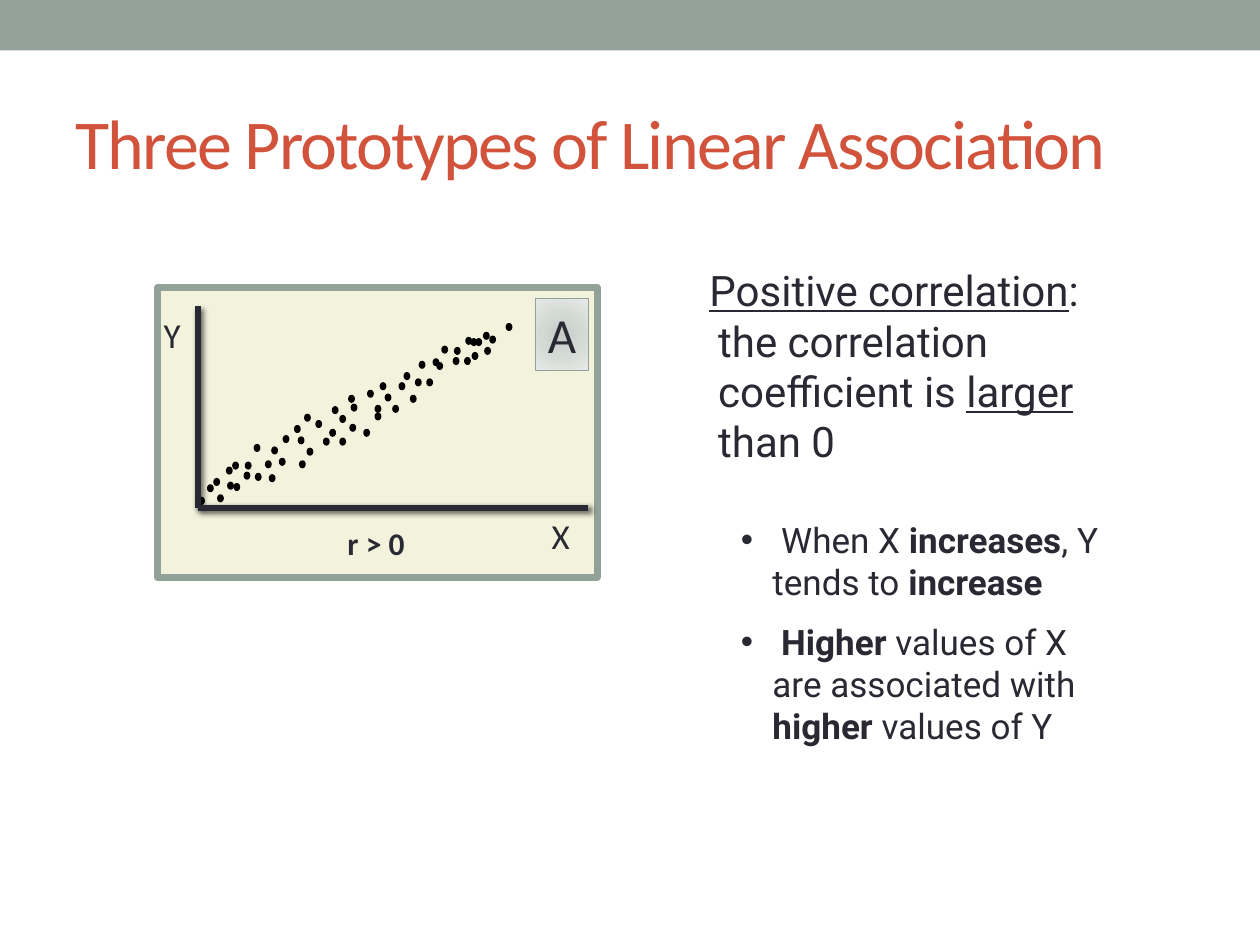
from lxml import etree
from pptx import Presentation
from pptx.dml.color import RGBColor
from pptx.enum.shapes import MSO_CONNECTOR, MSO_SHAPE
from pptx.enum.text import MSO_ANCHOR, MSO_AUTO_SIZE, PP_ALIGN
from pptx.oxml import parse_xml
from pptx.oxml.ns import nsdecls, qn
from pptx.util import Pt

SAGE = RGBColor(0x93, 0xA2, 0x99)
CREAM = RGBColor(0xF3, 0xF2, 0xDC)
RUST = RGBColor(0xD2, 0x53, 0x3C)
INK = RGBColor(0x29, 0x29, 0x34)
BLACK = RGBColor(0, 0, 0)

# Content: body runs are (text, style), where u is underlined and b is bold
TITLE = "Three Prototypes of Linear Association"
DEFINITION = [("Positive correlation", "u"), (": the correlation coefficient is ", ""),
              ("larger ", "u"), ("than 0", "")]
BULLETS = [
    [(" ", ""), ("When X ", ""), ("increases", "b"), (", Y tends to ", ""), ("increase", "b")],
    [(" ", ""), ("Higher", "b"), (" values of X are associated with ", ""),
     ("higher", "b"), (" values of Y", "")],
]

# Plot labels: text, left, top, width, height, size, bold
LABELS = [
    ("r > 0", 191.5, 296, 48.2, 29, 18, True),
    ("Y", 86.4, 175.7, 36, 31, 20, False),
    ("X", 308.2, 290.2, 36, 31, 20, False),
]

# Scatter dots: left and top, in steps of 0.72 points
DOT_STEP = 0.72
DOT_WIDTH, DOT_HEIGHT = 2.9, 3.6
DOTS = [
    (402, 257), (384, 264), (389, 267), (370, 268), (369, 284), (378, 269),
    (351, 275), (347, 288), (339, 301), (330, 301), (326, 314), (312, 322),
    (262, 341), (278, 337), (251, 334), (264, 323), (237, 347), (222, 364),
    (195, 367), (211, 366), (180, 371), (181, 383), (194, 375), (170, 380),
    (158, 395), (173, 393), (165, 385), (186, 384), (185, 367), (202, 353),
    (203, 376), (214, 377), (216, 355), (225, 346), (234, 338), (242, 329),
    (292, 310), (277, 314), (298, 328), (289, 341), (317, 304), (333, 287),
    (360, 284), (344, 285), (375, 280), (374, 269), (361, 276), (385, 276),
    (321, 296), (302, 304), (306, 313), (298, 322), (279, 321), (270, 330),
    (270, 348), (257, 348), (244, 356), (238, 366),
]

# Axes share one origin
ORIGIN = (113, 290.2)
AXIS_ENDS = [(113, 175), (336.2, 290.2)]

BADGE_GRADIENT = [(0, "C4CAC6"), (45, "D3DAD6"), (100, "E7EAE8")]


def place(shape, left, top, width, height):
    shape.left, shape.top, shape.width, shape.height = map(Pt, (left, top, width, height))


def add_filled(shapes, kind, box, fill, line=None, line_width=1):
    shape = shapes.add_shape(kind, *map(Pt, box))
    shape.shadow.inherit = False
    shape.fill.solid()
    shape.fill.fore_color.rgb = fill
    if line is None:
        shape.line.fill.background()
    else:
        shape.line.color.rgb = line
        shape.line.width = Pt(line_width)
    return shape


def add_run(paragraph, text, size, color=INK, name="Calibri", bold=False, underline=False):
    run = paragraph.add_run()
    run.text = text
    font = run.font
    font.size, font.name, font.bold, font.underline = Pt(size), name, bold, underline
    font.color.rgb = color
    return run


def format_paragraph(paragraph, margin, indent, bullet, before, after):
    properties = paragraph._p.get_or_add_pPr()
    properties.set("marL", str(Pt(margin)))
    properties.set("indent", str(Pt(indent)))
    if bullet:
        etree.SubElement(properties, qn("a:buFont")).set("typeface", "Arial")
        etree.SubElement(properties, qn("a:buChar")).set("char", bullet)
    else:
        etree.SubElement(properties, qn("a:buNone"))
    paragraph.alignment = PP_ALIGN.LEFT
    paragraph.space_before, paragraph.space_after = Pt(before), Pt(after)


def add_styled_runs(paragraph, runs, size):
    for text, style in runs:
        add_run(paragraph, text, size, name="Roboto", bold=style == "b", underline=style == "u")


def set_badge_gradient(shape):
    stops = "".join(f'<a:gs pos="{position * 1000}"><a:srgbClr val="{color}"/></a:gs>'
                    for position, color in BADGE_GRADIENT)
    gradient = parse_xml(
        f'<a:gradFill {nsdecls("a")} rotWithShape="1"><a:gsLst>{stops}</a:gsLst>'
        '<a:path path="circle"><a:fillToRect l="100000" t="100000" r="100000" b="100000"/>'
        '</a:path></a:gradFill>')
    properties = shape._element.spPr
    properties.replace(properties.find(qn("a:solidFill")), gradient)


def add_axis(shapes, end):
    axis = shapes.add_connector(MSO_CONNECTOR.STRAIGHT, *map(Pt, ORIGIN + end))
    axis.line.color.rgb = INK
    axis.line.width = Pt(3.5)
    axis._element.spPr.append(parse_xml(
        f'<a:effectLst {nsdecls("a")}><a:outerShdw blurRad="{Pt(3)}" dist="{Pt(2)}" '
        'dir="2700000" algn="ctr" rotWithShape="0"><a:srgbClr val="000000">'
        '<a:alpha val="60000"/></a:srgbClr></a:outerShdw></a:effectLst>'))


def main():
    presentation = Presentation()
    presentation.slide_width, presentation.slide_height = Pt(720), Pt(540)
    slide = presentation.slides.add_slide(presentation.slide_layouts[1])
    shapes = slide.shapes

    # Top band and title
    add_filled(shapes, MSO_SHAPE.RECTANGLE, (0, 0, 720, 28.8), SAGE)
    title = shapes.title
    place(title, 36, 41.8, 648, 77.8)
    title.text_frame.auto_size = MSO_AUTO_SIZE.NONE
    title.text_frame.vertical_anchor = MSO_ANCHOR.MIDDLE
    paragraph = title.text_frame.paragraphs[0]
    paragraph.alignment = PP_ALIGN.LEFT
    title_run = add_run(paragraph, TITLE, 40, RUST)
    title_run.font._element.set("spc", "-100")

    # Plot panel and scatter
    add_filled(shapes, MSO_SHAPE.RECTANGLE, (90, 164.2, 251.3, 165.6), CREAM, SAGE, 4)
    scatter = shapes.add_group_shape()
    for left, top in DOTS:
        box = (left * DOT_STEP, top * DOT_STEP, DOT_WIDTH, DOT_HEIGHT)
        add_filled(scatter.shapes, MSO_SHAPE.OVAL, box, BLACK, BLACK)

    # Plot labels
    for text, left, top, width, height, size, bold in LABELS:
        label = shapes.add_textbox(*map(Pt, (left, top, width, height)))
        label.text_frame.word_wrap = not bold
        add_run(label.text_frame.paragraphs[0], text, size, bold=bold)

    # Letter badge
    badge = add_filled(shapes, MSO_SHAPE.RECTANGLE, (306, 170.6, 30.2, 41), SAGE, SAGE, 0.75)
    set_badge_gradient(badge)
    badge.text_frame.vertical_anchor = MSO_ANCHOR.TOP
    paragraph = badge.text_frame.paragraphs[0]
    paragraph.alignment = PP_ALIGN.LEFT
    add_run(paragraph, "A", 28)

    # Axes
    for end in AXIS_ENDS:
        add_axis(shapes, end)

    # Definition and bullets
    body = slide.placeholders[1]
    place(body, 398.2, 147.6, 239.8, 284.4)
    frame = body.text_frame
    frame.auto_size = MSO_AUTO_SIZE.NONE
    frame.vertical_anchor = MSO_ANCHOR.TOP
    paragraph = frame.paragraphs[0]
    format_paragraph(paragraph, 5, -5, None, 0, 0)
    add_styled_runs(paragraph, DEFINITION, 24)
    for index, runs in enumerate(BULLETS):
        paragraph = frame.add_paragraph()
        paragraph.level = 3
        format_paragraph(paragraph, 36, -18, "•", 5 if index else 30, 5)
        add_styled_runs(paragraph, runs, 20)

    presentation.save("out.pptx")


if __name__ == "__main__":
    main()
